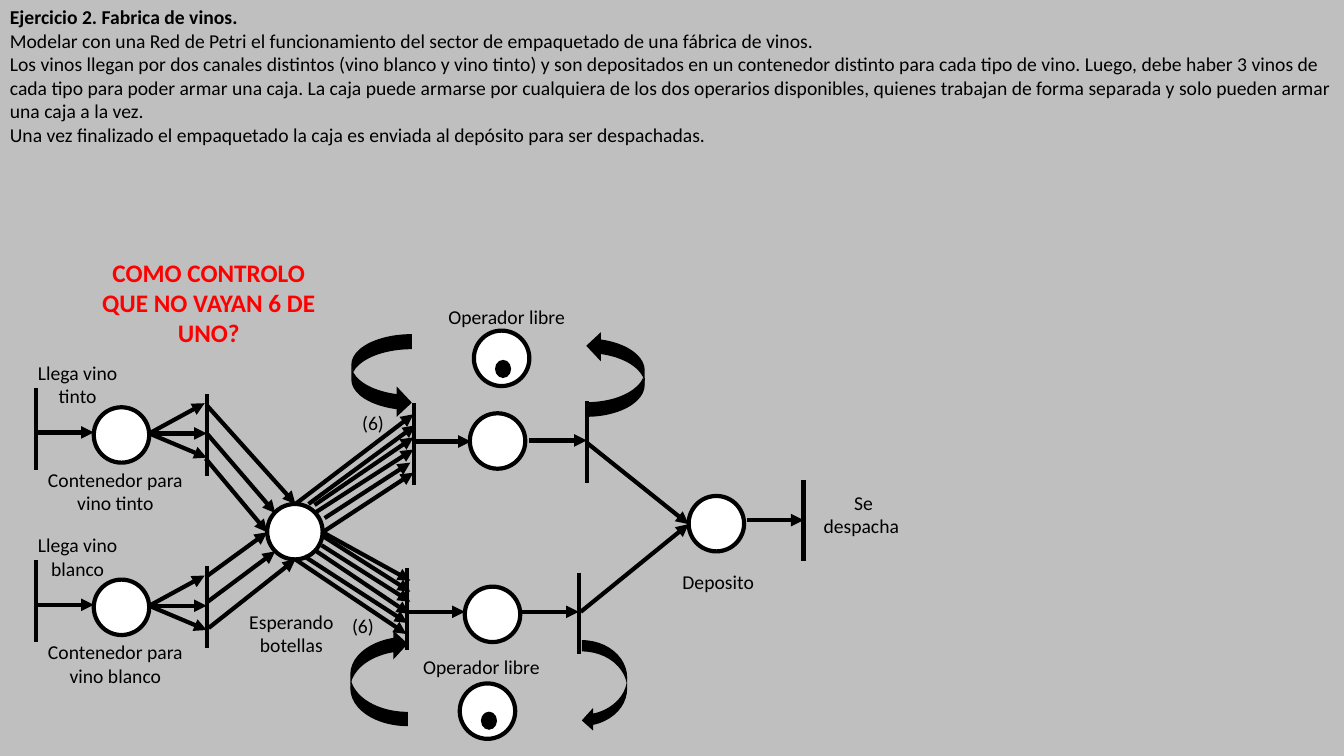
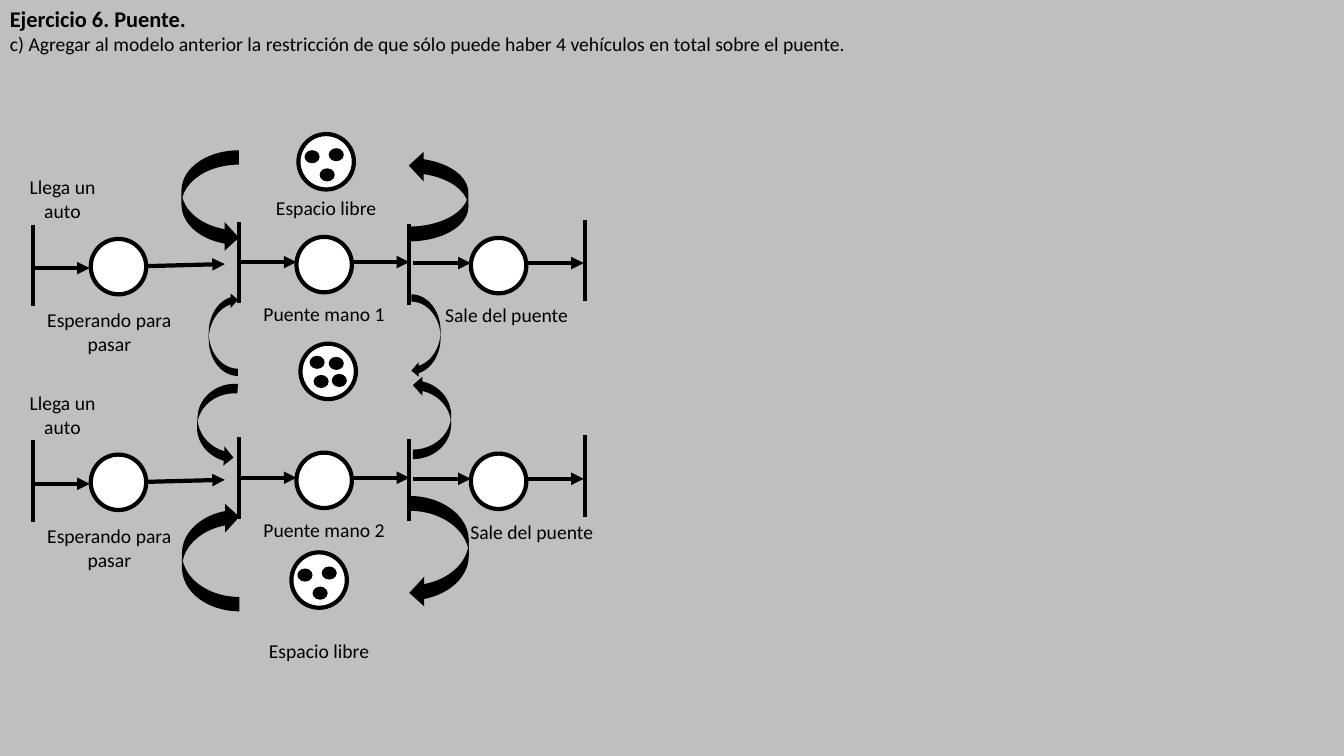
from dataclasses import dataclass

from lxml import etree
from pptx import Presentation
from pptx.dml.color import RGBColor
from pptx.enum import shapes, text
from pptx.oxml.ns import qn
from pptx.util import Inches, Pt


@dataclass(frozen=True)
class Theme:
    """Colours, type and the fixed sizes of the net symbols."""
    back: RGBColor = RGBColor(0xBF, 0xBF, 0xBF)
    ink: RGBColor = RGBColor(0, 0, 0)
    white: RGBColor = RGBColor(0xFF, 0xFF, 0xFF)
    alert: RGBColor = RGBColor(0xFF, 0, 0)
    font: str = "Calibri"
    body: int = 14
    heading: int = 16
    question: int = 18
    stroke: int = 3
    place: float = 0.55
    bar: float = 0.81


T = Theme()
BODY = {"name": T.font, "size": Pt(T.body), "bold": False}


def add_text(s, box, lines, align=None, color=T.ink):
    """Add a wrapped text box; lines are (text, font values) pairs."""
    tf = s.shapes.add_textbox(*map(Inches, box)).text_frame
    tf.word_wrap = True
    tf.auto_size = text.MSO_AUTO_SIZE.SHAPE_TO_FIT_TEXT
    p = tf.paragraphs[0]
    p.alignment = align
    for i, (line, values) in enumerate(lines):
        if i:
            p.add_line_break()
        r = p.add_run()
        r.text = line
        r.font.color.rgb = color
        for name, value in values.items():
            setattr(r.font, name, value)


def add_solid(s, kind, box, fill, outlined=False):
    """Add a flat preset shape with an optional ink outline."""
    sp = s.shapes.add_shape(kind, *map(Inches, box))
    sp.shadow.inherit = False
    sp.fill.solid()
    sp.fill.fore_color.rgb = fill
    if outlined:
        sp.line.color.rgb = T.ink
        sp.line.width = Pt(T.stroke)
    else:
        sp.line.fill.background()
    return sp


# Wine factory: places and bars are (x, y), arrows (x1, y1, x2, y2),
# tokens (x, y, w, h), turns (x, y, w, h, rotation, flips), labels (x, y, w, h, text)
wine = {
    "statement": [
        ("Ejercicio 2. Fabrica de vinos.", {**BODY, "bold": True}),
        ("Modelar con una Red de Petri el funcionamiento del sector de empaquetado "
         "de una fábrica de vinos.", BODY),
        ("Los vinos llegan por dos canales distintos (vino blanco y vino tinto) y son "
         "depositados en un contenedor distinto para cada tipo de vino. Luego, debe haber "
         "3 vinos de cada tipo para poder armar una caja. La caja puede armarse por "
         "cualquiera de los dos operarios disponibles, quienes trabajan de forma separada "
         "y solo pueden armar una caja a la vez.", BODY),
        ("Una vez finalizado el empaquetado la caja es enviada al depósito para ser "
         "despachadas.", BODY)],
    "height": 1.51,
    "places": [(2.65, 5), (4.61, 5.82), (4.56, 6.78), (4.7, 3.28), (4.66, 4.1), (6.83, 4.92)],
    "tokens": [(4.77, 7.06, 0.16, 0.18), (4.91, 3.57, 0.16, 0.18)],
    "bars": [(4.11, 4), (5.82, 3.98), (4.04, 5.64), (5.74, 5.68), (7.97, 4.76)],
    "arrows": [
        # containers to the waiting place
        (2.05, 4.02, 2.93, 5), (2.06, 4.31, 2.73, 5.09), (2.04, 4.55, 2.65, 5.28),
        (2.06, 5.71, 2.65, 5.28), (2.06, 5.97, 2.73, 5.47), (2.07, 6.23, 2.93, 5.55),
        # six bottles to the upper operator
        (2.93, 5, 4.1, 4.11), (3.06, 5, 4.12, 4.22), (3.12, 5.01, 4.1, 4.34),
        (3.12, 5.09, 4.1, 4.46), (3.22, 5.14, 4.07, 4.59), (3.2, 5.28, 4.1, 4.69),
        # six bottles to the lower operator
        (3.2, 5.28, 4.07, 5.76), (3.19, 5.31, 4.07, 5.87), (3.19, 5.41, 4.07, 5.97),
        (3.14, 5.47, 4.06, 6.09), (3.02, 5.52, 4.04, 6.18), (2.93, 5.55, 4.03, 6.29),
        # packing and dispatch
        (4.11, 4.38, 4.67, 4.38), (5.25, 4.37, 5.82, 4.37), (4.04, 6.07, 4.61, 6.07),
        (5.18, 6.07, 5.74, 6.07), (5.83, 4.4, 6.83, 5.2), (5.76, 6.07, 6.83, 5.2),
        (7.41, 5.16, 7.97, 5.16)],
    "turns": [(3.28, 6.44, 0.96, 0.57, 90, "HV"), (5.54, 6.58, 0.91, 0.45, 90, ""),
              (3.37, 3.43, 0.83, 0.6, 90, "V"), (5.68, 3.42, 0.85, 0.58, 90, "H")],
    "labels": [(2.35, 6, 1.08, 0.57, "Esperando botellas"),
               (3.38, 6.04, 0.44, 0.34, "(6)"), (3.48, 4.03, 0.44, 0.34, "(6)"),
               (3.98, 6.45, 1.59, 0.34, "Operador libre"),
               (4.23, 2.98, 1.59, 0.34, "Operador libre"),
               (6.6, 5.61, 1.09, 0.34, "Deposito "),
               (8.02, 4.82, 1.09, 0.57, "Se despacha ")],
}
for kind, dy in (("tinto", 0), ("blanco", 1.71)):
    wine["places"].append((0.93, 4.04 + dy))
    wine["bars"] += [(0.36, 3.85 + dy), (2.05, 3.91 + dy)]
    wine["arrows"].append((0.36, 4.29 + dy, 0.93, 4.29 + dy))
    wine["arrows"] += [(1.48, 4.3 + dy, x, y + dy)
                       for x, y in ((2.03, 4), (2.05, 4.3), (2.05, 4.54))]
    wine["labels"] += [(0.18, 3.53 + dy, 1.18, 0.57, f"Llega vino {kind}"),
                       (0.36, 4.59 + dy, 1.57, 0.57, f"Contenedor para vino {kind}")]

# Bridge: two lanes that share the central place with four tokens
bridge = {
    "statement": [
        ("Ejercicio 6. Puente.", {**BODY, "size": Pt(T.heading), "bold": True}),
        ("c) Agregar al modelo anterior la restricción de que sólo puede haber 4 "
         "vehículos en total sobre el puente.", BODY)],
    "height": 0.61,
    "places": [(2.98, 3.41)],
    "tokens": [(x, y, 0.15, 0.13)
               for x, y in ((3.07, 3.53), (3.26, 3.54), (3.11, 3.72), (3.29, 3.71))],
    "bars": [],
    "arrows": [],
    "turns": [(1.58, 1.71, 1.01, 0.57, 90, "V"), (3.9, 1.65, 0.9, 0.59, 90, "H"),
              (1.8, 3.17, 0.83, 0.29, 270, ""), (3.81, 3.19, 0.83, 0.29, 90, ""),
              (1.55, 5.24, 1.08, 0.57, 90, "HV"), (3.8, 5.18, 1.11, 0.59, 90, ""),
              (3.87, 3.95, 0.83, 0.38, 90, "H"), (1.73, 4.02, 0.83, 0.38, 273.5, "H")],
    "labels": [(2.47, 1.89, 1.53, 0.34, "Espacio libre"),
               (2.4, 6.29, 1.53, 0.34, "Espacio libre"),
               (4.26, 2.96, 1.53, 0.34, "Sale del puente"),
               (4.51, 5.11, 1.53, 0.34, "Sale del puente")],
}
for x, y in ((2.96, 1.33), (2.89, 5.48)):
    bridge["places"].append((x, y))
    bridge["tokens"] += [(x + dx, y + dy, 0.15, 0.13)
                         for dx, dy in ((0.06, 0.16), (0.3, 0.14), (0.21, 0.34))]
for lane, dy in ((1, 0), (2, 2.14)):
    bridge["places"] += [(x, y + dy) for x, y in ((0.9, 2.37), (2.94, 2.35), (4.67, 2.36))]
    bridge["bars"] += [(x, y + dy)
                       for x, y in ((0.33, 2.23), (2.37, 2.2), (4.06, 2.22), (5.8, 2.18))]
    bridge["arrows"] += [(x1, y1 + dy, x2, y2 + dy) for x1, y1, x2, y2 in (
        (0.33, 2.66, 0.89, 2.66), (1.47, 2.64, 2.23, 2.62), (2.38, 2.6, 2.94, 2.6),
        (3.5, 2.6, 4.06, 2.6), (4.1, 2.61, 4.67, 2.61), (5.22, 2.61, 5.79, 2.61))]
    bridge["labels"] += [(0.14, 1.69 + dy, 0.96, 0.57, "Llega un auto"),
                         (0.3, 3.01 + dy, 1.57, 0.57, "Esperando para pasar"),
                         (2.45, 2.95 + dy, 1.53, 0.34, f"Puente mano {lane}")]

prs = Presentation()
prs.slide_width, prs.slide_height = Inches(13.33), Inches(7.5)
oval = shapes.MSO_SHAPE.OVAL
center = text.PP_ALIGN.CENTER

for net in (wine, bridge):
    s = prs.slides.add_slide(prs.slide_layouts[6])
    s.background.fill.solid()
    s.background.fill.fore_color.rgb = T.back
    add_text(s, (0, 0, 13.33, net["height"]), net["statement"])

    for x, y in net["places"]:
        add_solid(s, oval, (x, y, T.place, T.place), T.white, outlined=True)
    for box in net["tokens"]:
        add_solid(s, oval, box, T.ink)
    for *box, rotation, flips in net["turns"]:
        sp = add_solid(s, shapes.MSO_SHAPE.CURVED_DOWN_ARROW, box, T.ink)
        sp.rotation = rotation
        for axis in flips:
            sp._element.spPr.xfrm.set(f"flip{axis}", "1")

    bars = [(x, y, x, y + T.bar) for x, y in net["bars"]]
    for ends, head in [(b, False) for b in bars] + [(a, True) for a in net["arrows"]]:
        c = s.shapes.add_connector(shapes.MSO_CONNECTOR.STRAIGHT, *map(Inches, ends))
        c.line.color.rgb = T.ink
        c.line.width = Pt(T.stroke)
        spPr = c._element.spPr
        if head:
            etree.SubElement(spPr.find(qn("a:ln")), qn("a:tailEnd"), type="triangle")
        etree.SubElement(spPr, qn("a:effectLst"))

    for *box, label in net["labels"]:
        add_text(s, box, [(label, BODY)], center)

add_text(prs.slides[0], (0.91, 2.5, 2.32, 1.01),
         [("COMO CONTROLO QUE NO VAYAN 6 DE UNO?",
           {**BODY, "size": Pt(T.question), "bold": True})], center, T.alert)

prs.save("out.pptx")
